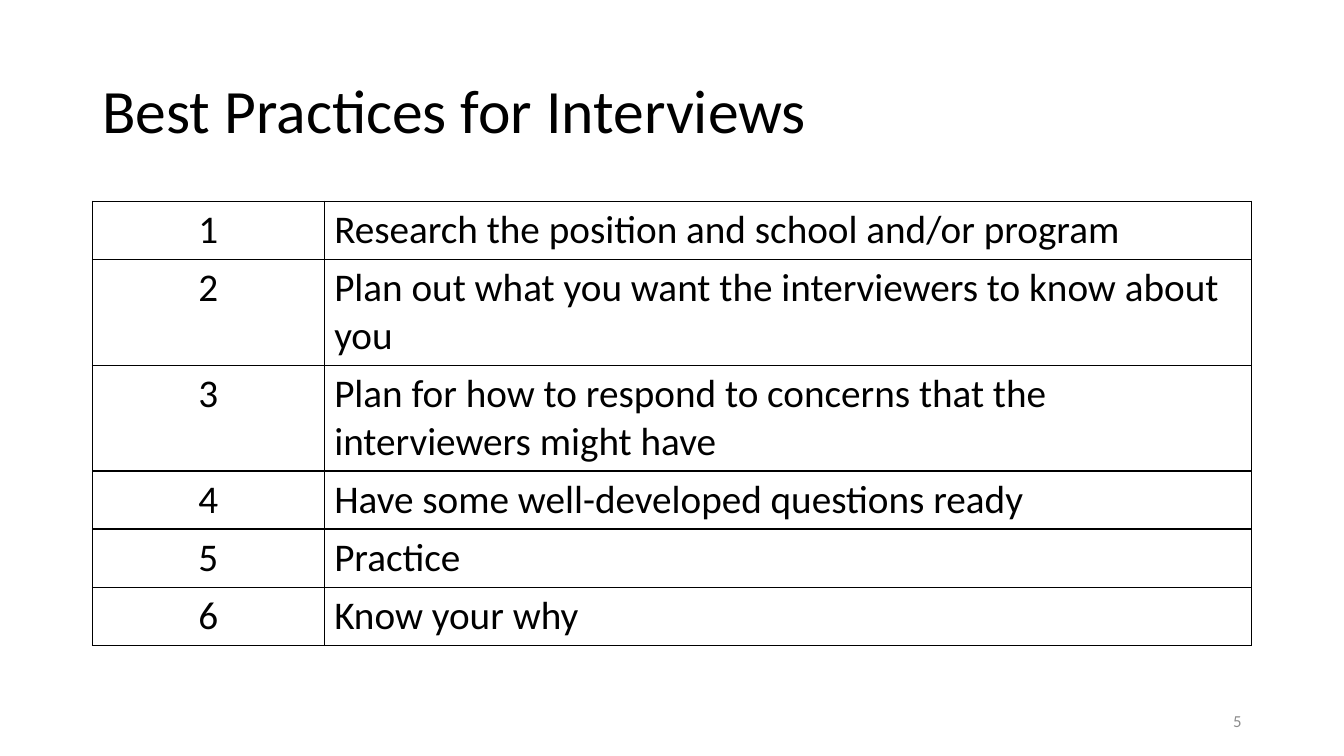
from lxml import etree
from pptx import Presentation
from pptx import util as u
from pptx.dml.color import RGBColor
from pptx.enum import text
from pptx.oxml import parse_xml
from pptx.oxml.ns import nsdecls, qn

# Content
TITLE = "Best Practices for Interviews"
PRACTICES = [
    "Research the position and school and/or program",
    "Plan out what you want the interviewers to know about you",
    "Plan for how to respond to concerns that the interviewers might have",
    "Have some well-developed questions ready",
    "Practice",
    "Know your why",
]
PAGE_NUMBER = 5

# Look
FONT = "Calibri"
BLACK = RGBColor(0x00, 0x00, 0x00)
GRAY = RGBColor(0x8C, 0x8C, 0x8C)
LEFT, WIDTH = u.Cm(2.33), u.Cm(29.21)
NUMBER_WIDTH = u.Cm(5.84)
ROW_HEIGHT = u.Cm(1.04)


def style(para, size, color, align):
    para.alignment = align
    para.font.name = FONT
    para.font.size = u.Pt(size)
    para.font.color.rgb = color


def add_borders(cell):
    properties = cell._tc.get_or_add_tcPr()
    for side in ("lnL", "lnR", "lnT", "lnB"):
        line = etree.SubElement(properties, qn(f"a:{side}"), w=str(u.Pt(1)))
        fill = etree.SubElement(line, qn("a:solidFill"))
        etree.SubElement(fill, qn("a:srgbClr"), val=str(BLACK))


def fill_cell(cell, words, align):
    cell.text = words
    style(cell.text_frame.paragraphs[0], 28, BLACK, align)
    add_borders(cell)
    cell.fill.background()


deck = Presentation()
deck.slide_width, deck.slide_height = u.Cm(33.87), u.Cm(19.05)
page = deck.slides.add_slide(deck.slide_layouts[5])

# Title
title = page.shapes.title
title.left, title.top, title.width, title.height = LEFT, u.Cm(1.01), WIDTH, u.Cm(3.68)
title.text = TITLE
title.text_frame.vertical_anchor = text.MSO_ANCHOR.MIDDLE
heading = title.text_frame.paragraphs[0]
heading.line_spacing = 0.9
style(heading, 44, BLACK, text.PP_ALIGN.LEFT)

# Numbered table; rows grow to fit their text
frame = page.shapes.add_table(len(PRACTICES), 2, LEFT, u.Cm(5.07), WIDTH,
                              ROW_HEIGHT * len(PRACTICES))
table = frame.table
table.first_row = table.horz_banding = False
table.columns[0].width = NUMBER_WIDTH
table.columns[1].width = WIDTH - NUMBER_WIDTH
for row, practice in enumerate(PRACTICES):
    fill_cell(table.cell(row, 0), str(row + 1), text.PP_ALIGN.CENTER)
    fill_cell(table.cell(row, 1), practice, text.PP_ALIGN.LEFT)
frame.height = u.Cm(11)

# Page number
box = page.shapes.add_textbox(u.Cm(23.92), u.Cm(17.66), u.Cm(7.62), u.Cm(1.01))
box.text_frame.word_wrap = True
box.text_frame.vertical_anchor = text.MSO_ANCHOR.MIDDLE
para = box.text_frame.paragraphs[0]
para.text = str(PAGE_NUMBER)
style(para, 12, GRAY, text.PP_ALIGN.RIGHT)

deck.save("out.pptx")
